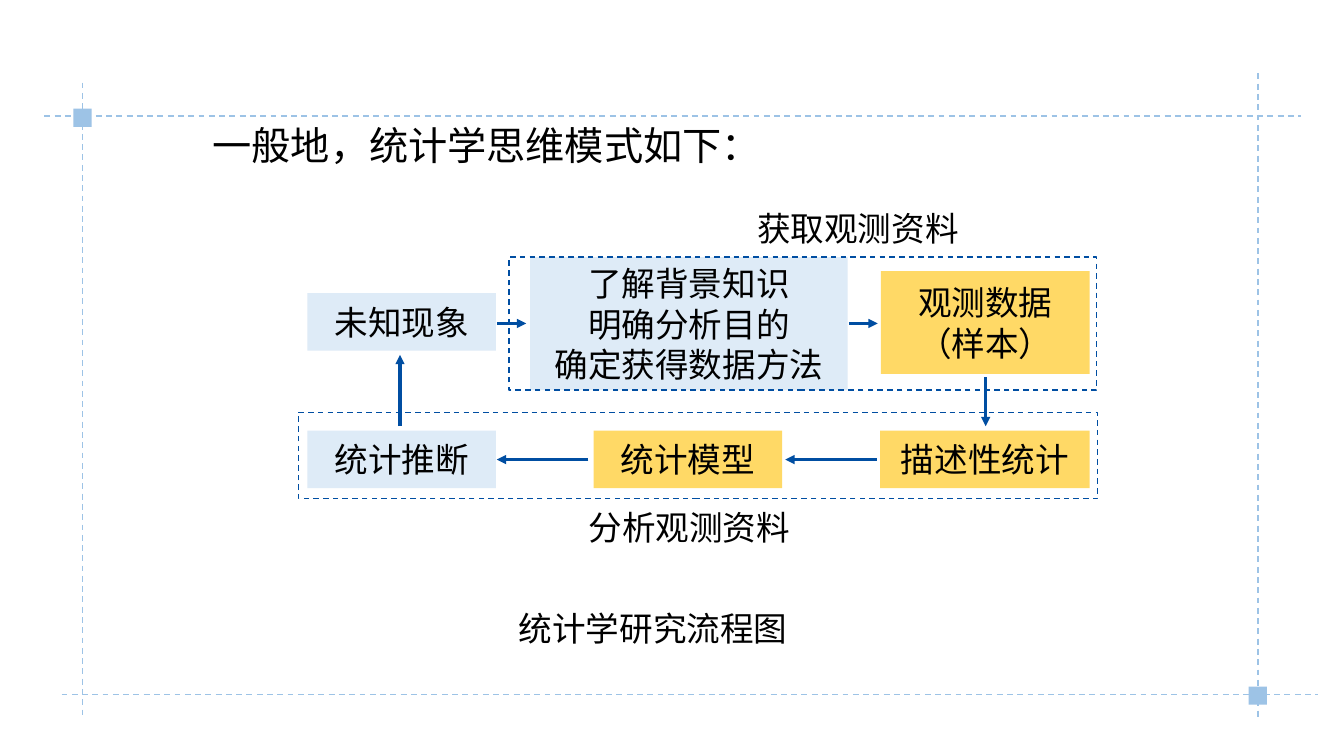
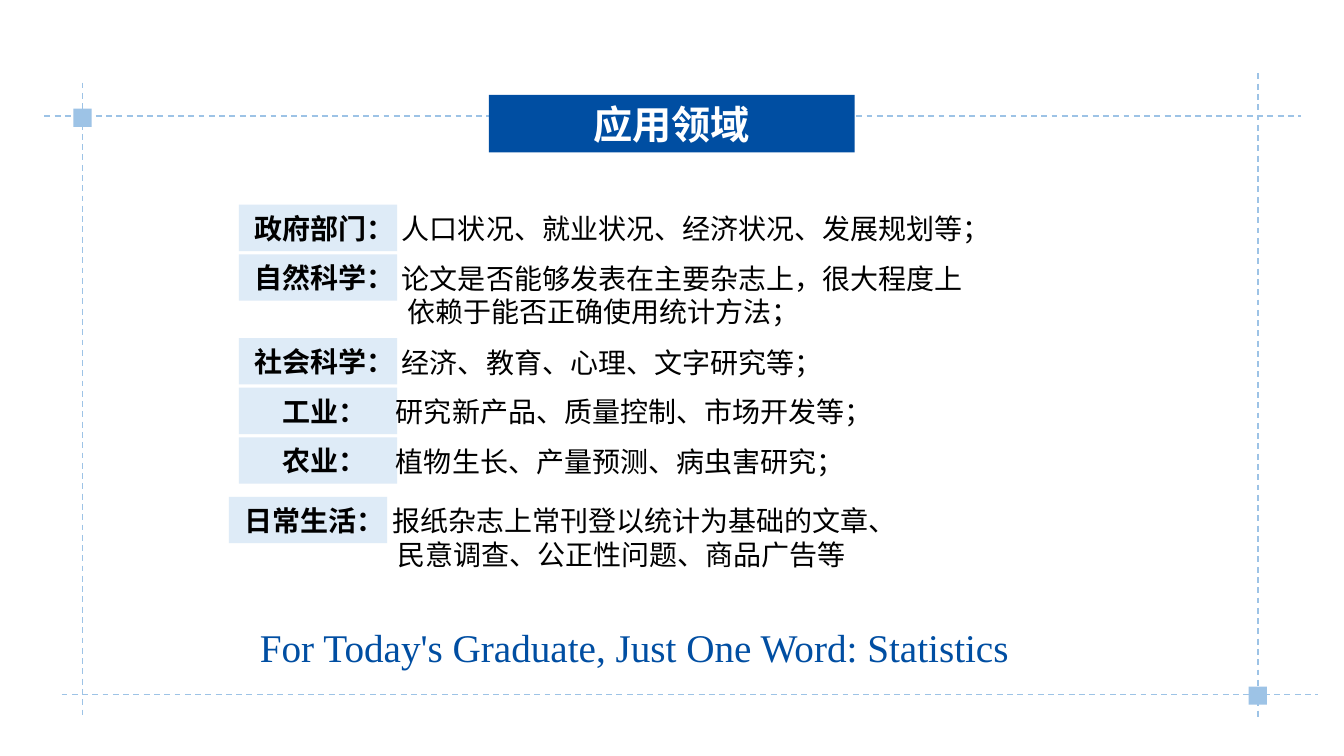
from dataclasses import dataclass

import lxml.etree
import pptx
import pptx.dml.color
import pptx.enum.dml
import pptx.enum.shapes
import pptx.enum.text
import pptx.oxml
import pptx.oxml.ns
import pptx.shapes.autoshape
import pptx.shapes.connector
import pptx.slide
import pptx.text.text
import pptx.util

Cm = pptx.util.Cm
Pt = pptx.util.Pt
ALIGN = pptx.enum.text.PP_ALIGN
ANCHOR = pptx.enum.text.MSO_ANCHOR
DASH = pptx.enum.dml.MSO_LINE.DASH


@dataclass(frozen=True)
class Theme:
    blue: str = "004EA2"
    frame_blue: str = "9DC3E6"
    pale_blue: str = "DEEBF7"
    yellow: str = "FFD966"
    black: str = "000000"
    white: str = "FFFFFF"
    latin_font: str = "Times New Roman"
    chinese_font: str = "Noto Sans CJK SC"
    heading_size: float = 28
    diagram_size: float = 24
    body_size: float = 20
    frame_line: float = 1.05
    region_line: float = 1
    arrow_line: float = 2.25


THEME = Theme()


@dataclass(frozen=True)
class Area:
    left: float
    top: float
    width: float
    height: float


@dataclass(frozen=True)
class Segment:
    x1: float
    y1: float
    x2: float
    y2: float


@dataclass(frozen=True)
class TextStyle:
    size: float
    color: str = THEME.black
    font: str = THEME.latin_font
    bold: bool = False
    align: ALIGN = ALIGN.CENTER
    anchor: ANCHOR = ANCHOR.MIDDLE


@dataclass(frozen=True)
class Step:
    text: str
    area: Area
    fill: str


@dataclass(frozen=True)
class Field:
    label: str
    lines: tuple[str, ...]
    body_offset: float = 4.11
    left: float = 6.02
    gap_before: float = 0


HEADING = TextStyle(THEME.heading_size, font=THEME.chinese_font, align=ALIGN.LEFT)
BANNER = TextStyle(THEME.heading_size, THEME.white, THEME.chinese_font, True)
SLOGAN = TextStyle(THEME.heading_size, THEME.blue, align=ALIGN.LEFT)
DIAGRAM = TextStyle(THEME.diagram_size)
CAPTION = TextStyle(THEME.diagram_size, anchor=ANCHOR.TOP)
FIELD_LABEL = TextStyle(THEME.body_size, bold=True)
FIELD_BODY = TextStyle(
    THEME.body_size, font=THEME.chinese_font, align=ALIGN.LEFT, anchor=ANCHOR.TOP
)

FRAME_LEFT, FRAME_RIGHT = 2.08, 31.7
FRAME_LINES = (
    Segment(FRAME_LEFT, 2.08, FRAME_LEFT, 18.08),
    Segment(FRAME_RIGHT, 1.85, FRAME_RIGHT, 18.08),
    Segment(1.12, 2.92, 32.79, 2.92),
    Segment(1.55, 17.5, 33.22, 17.5),
)
CORNER_SIZE = 0.46
CORNER_CENTERS = ((FRAME_LEFT, 2.97), (FRAME_RIGHT, 17.53))

STEP_WIDTH, STEP_HEIGHT, LOWER_TOP = 4.75, 1.45, 10.85
STEPS = (
    Step("未知现象", Area(7.75, 7.39, STEP_WIDTH, STEP_HEIGHT), THEME.pale_blue),
    Step(
        "了解背景知识\n明确分析目的\n确定获得数据方法",
        Area(13.36, 6.48, 8, 3.35),
        THEME.pale_blue,
    ),
    Step("观测数据\n（样本）", Area(22.2, 6.83, 5.26, 2.59), THEME.yellow),
    Step("统计推断", Area(7.75, LOWER_TOP, STEP_WIDTH, STEP_HEIGHT), THEME.pale_blue),
    Step("统计模型", Area(14.96, LOWER_TOP, STEP_WIDTH, STEP_HEIGHT), THEME.yellow),
    Step("描述性统计", Area(22.18, LOWER_TOP, 5.28, STEP_HEIGHT), THEME.yellow),
)
REGIONS = (Area(12.83, 6.48, 14.81, 3.35), Area(7.52, 10.39, 20.14, 2.18))
CAPTIONS = (
    ("获取观测资料", Area(18.8, 5.11, 5.64, 1.27)),
    ("分析观测资料", Area(14.55, 12.65, 5.64, 1.27)),
    ("统计学研究流程图", Area(12.66, 15.19, 7.6, 1.27)),
)
ARROWS = (
    Segment(12.52, 8.15, 13.26, 8.15),
    Segment(21.39, 8.15, 22.12, 8.15),
    Segment(24.84, 9.5, 24.84, 10.74),
    Segment(22.1, 11.58, 19.79, 11.58),
    Segment(14.83, 11.58, 12.52, 11.58),
    Segment(10.08, 10.74, 10.08, 8.94),
)

FIELDS = (
    Field("政府部门：", ("人口状况、就业状况、经济状况、发展规划等；",)),
    Field(
        "自然科学：",
        ("论文是否能够发表在主要杂志上，很大程度上", "依赖于能否正确使用统计方法；"),
    ),
    Field("社会科学：", ("经济、教育、心理、文字研究等；",)),
    Field("工业：", ("研究新产品、质量控制、市场开发等；",), body_offset=3.96),
    Field("农业：", ("植物生长、产量预测、病虫害研究；",), body_offset=3.96),
    Field(
        "日常生活：",
        ("报纸杂志上常刊登以统计为基础的文章、", "民意调查、公正性问题、商品广告等"),
        left=5.77,
        gap_before=0.25,
    ),
)
FIELD_TOP, FIELD_PITCH, EXTRA_LINE = 5.16, 1.25, 0.86
LABEL_WIDTH, LABEL_HEIGHT = 3.99, 1.17


def rgb(value: str) -> pptx.dml.color.RGBColor:
    return pptx.dml.color.RGBColor.from_string(value)


def write_text(frame: pptx.text.text.TextFrame, text: str, style: TextStyle) -> None:
    frame.word_wrap = True
    frame.vertical_anchor = style.anchor
    frame.text = text
    for paragraph in frame.paragraphs:
        paragraph.alignment = style.align
        font = paragraph.font
        font.size = Pt(style.size)
        font.bold = style.bold
        font.color.rgb = rgb(style.color)
        font.name = style.font
        latin = paragraph._p.pPr.find(".//" + pptx.oxml.ns.qn("a:latin"))
        east_asian = lxml.etree.Element(pptx.oxml.ns.qn("a:ea"))
        east_asian.set("typeface", THEME.chinese_font)
        latin.addnext(east_asian)


def add_text(
    slide: pptx.slide.Slide, text: str, area: Area, style: TextStyle
) -> pptx.text.text.TextFrame:
    box = slide.shapes.add_textbox(
        Cm(area.left), Cm(area.top), Cm(area.width), Cm(area.height)
    )
    write_text(box.text_frame, text, style)
    return box.text_frame


def add_rectangle(
    slide: pptx.slide.Slide, area: Area, fill: str | None = None
) -> pptx.shapes.autoshape.Shape:
    shape = slide.shapes.add_shape(
        pptx.enum.shapes.MSO_SHAPE.RECTANGLE,
        Cm(area.left), Cm(area.top), Cm(area.width), Cm(area.height),
    )
    shape.shadow.inherit = False
    if fill is None:
        shape.fill.background()
    else:
        shape.fill.solid()
        shape.fill.fore_color.rgb = rgb(fill)
    shape.line.fill.background()
    return shape


def add_line(
    slide: pptx.slide.Slide, segment: Segment, color: str, width: float
) -> pptx.shapes.connector.Connector:
    connector = slide.shapes.add_connector(
        pptx.enum.shapes.MSO_CONNECTOR.STRAIGHT,
        Cm(segment.x1), Cm(segment.y1), Cm(segment.x2), Cm(segment.y2),
    )
    connector.line.color.rgb = rgb(color)
    connector.line.width = Pt(width)
    lxml.etree.SubElement(connector._element.spPr, pptx.oxml.ns.qn("a:effectLst"))
    return connector


def add_arrow(slide: pptx.slide.Slide, segment: Segment) -> None:
    connector = add_line(slide, segment, THEME.blue, THEME.arrow_line)
    line = connector.line._get_or_add_ln()
    lxml.etree.SubElement(line, pptx.oxml.ns.qn("a:tailEnd")).set("type", "triangle")


def add_region(slide: pptx.slide.Slide, area: Area) -> None:
    region = add_rectangle(slide, area)
    region.line.color.rgb = rgb(THEME.blue)
    region.line.width = Pt(THEME.region_line)
    region.line.dash_style = DASH


def add_framed_slide(
    presentation: pptx.presentation.Presentation,
) -> pptx.slide.Slide:
    slide = presentation.slides.add_slide(presentation.slide_layouts[6])
    for segment in FRAME_LINES:
        connector = add_line(slide, segment, THEME.frame_blue, THEME.frame_line)
        connector.line.dash_style = DASH
    for x, y in CORNER_CENTERS:
        half = CORNER_SIZE / 2
        corner = Area(x - half, y - half, CORNER_SIZE, CORNER_SIZE)
        add_rectangle(slide, corner, THEME.frame_blue)
    return slide


def add_field(slide: pptx.slide.Slide, field: Field, top: float) -> None:
    label_area = Area(field.left, top, LABEL_WIDTH, LABEL_HEIGHT)
    label = add_rectangle(slide, label_area, THEME.pale_blue)
    write_text(label.text_frame, field.label, FIELD_LABEL)
    label.text_frame.word_wrap = False
    label.text_frame.margin_left = Cm(0.34)
    label.text_frame.margin_right = 0
    height = LABEL_HEIGHT + EXTRA_LINE * (len(field.lines) - 1)
    body_area = Area(field.left + field.body_offset, top + 0.05, 17, height)
    body = add_text(slide, "\n".join(field.lines), body_area, FIELD_BODY)
    body.margin_left = 0
    for paragraph in body.paragraphs[1:]:
        paragraph._p.get_or_add_pPr().set("marL", str(Cm(0.13)))


def build_process(presentation: pptx.presentation.Presentation) -> None:
    slide = add_framed_slide(presentation)
    heading_area = Area(5.11, 2.92, 15, 1.45)
    add_text(slide, "一般地，统计学思维模式如下：", heading_area, HEADING)
    for step in STEPS:
        shape = add_rectangle(slide, step.area, step.fill)
        write_text(shape.text_frame, step.text, DIAGRAM)
    for area in REGIONS:
        add_region(slide, area)
    for text, area in CAPTIONS:
        add_text(slide, text, area, CAPTION)
    for segment in ARROWS:
        add_arrow(slide, segment)


def build_fields(presentation: pptx.presentation.Presentation) -> None:
    slide = add_framed_slide(presentation)
    banner = add_rectangle(slide, Area(12.32, 2.39, 9.22, 1.45), THEME.blue)
    write_text(banner.text_frame, "应用领域", BANNER)
    top = FIELD_TOP
    for field in FIELDS:
        top += field.gap_before
        add_field(slide, field, top)
        top += FIELD_PITCH + EXTRA_LINE * (len(field.lines) - 1)
    slogan = "For Today's Graduate, Just One Word: Statistics"
    add_text(slide, slogan, Area(6.3, 15.57, 20, 1.45), SLOGAN)


def main() -> None:
    presentation = pptx.Presentation()
    presentation.slide_width = Cm(33.87)
    presentation.slide_height = Cm(19.05)
    build_process(presentation)
    build_fields(presentation)
    presentation.save("out.pptx")


if __name__ == "__main__":
    main()
